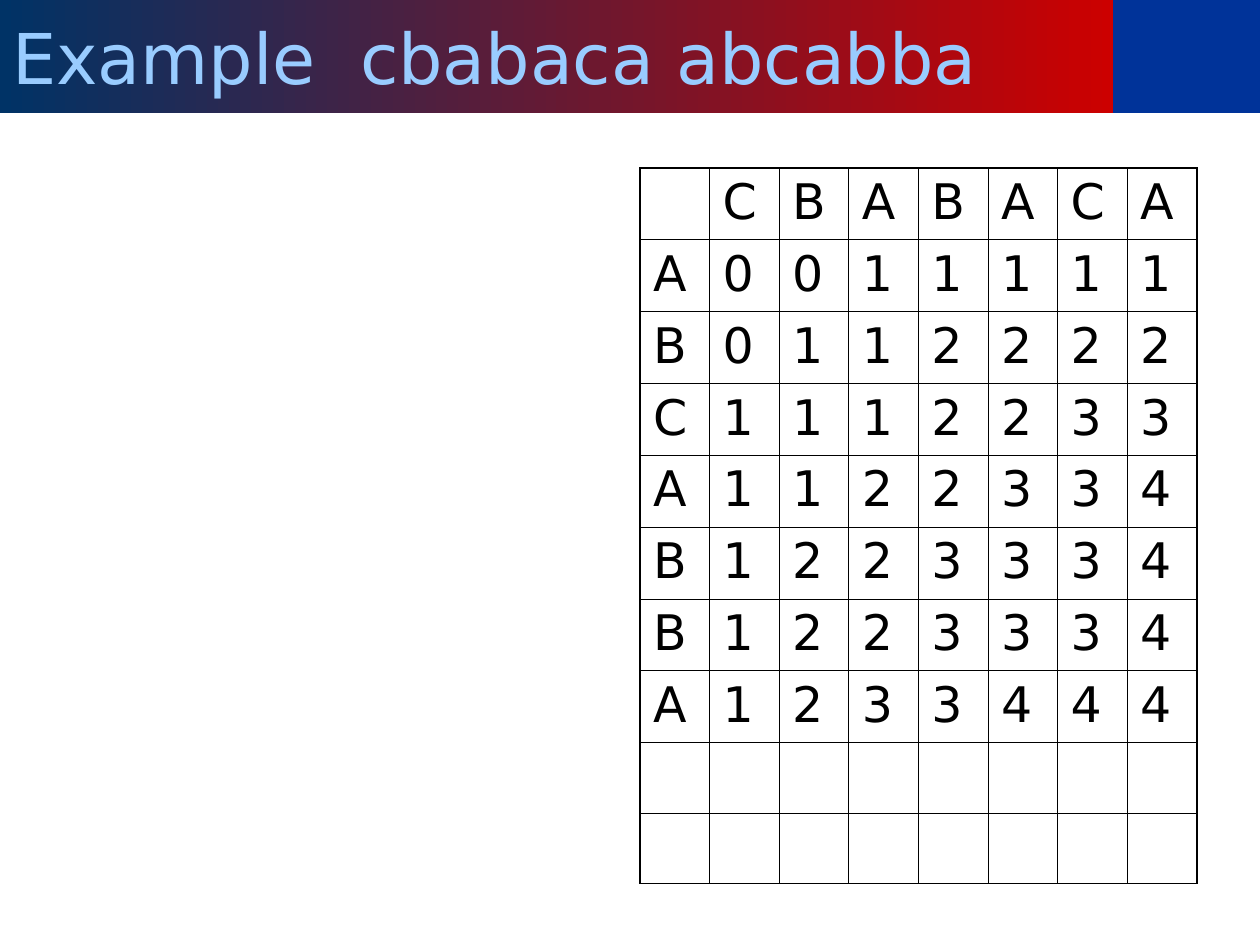
from lxml.etree import SubElement
from pptx import Presentation
from pptx.dml.color import RGBColor
from pptx.enum.shapes import MSO_SHAPE
from pptx.enum.text import MSO_ANCHOR, PP_ALIGN
from pptx.oxml.ns import qn
from pptx.util import Emu, Pt

FONT = "DejaVu Sans"
BLACK = RGBColor(0x00, 0x00, 0x00)
NAVY = RGBColor(0x00, 0x33, 0x66)
RED = RGBColor(0xCC, 0x00, 0x00)
BLUE = RGBColor(0x00, 0x33, 0x99)
SKY = RGBColor(0x99, 0xCC, 0xFF)

THIN, THICK = Pt(0.45), Pt(1.08)

# One string per table row, one character per cell
LCS_ROWS = [
    " CBABACA",
    "A0011111",
    "B0112222",
    "C1112233",
    "A1122334",
    "B1223334",
    "B1223334",
    "A1233444",
    " " * 8,
    " " * 8,
]
FILLED_ROWS = 8


def px(count):
    return Emu(round(count * 914400 / 126))


def add_band(page, left, top, width, height):
    box = page.shapes.add_shape(
        MSO_SHAPE.RECTANGLE, px(left), px(top), px(width), px(height))
    box.shadow.inherit = False
    box.line.fill.background()
    return box


def add_span(para, text, size, color):
    span = para.add_run()
    span.text = text
    span.font.name = FONT
    span.font.size = Pt(size)
    span.font.color.rgb = color


def add_title(page, text):
    box = add_band(page, 0, 0, 1113, 113)
    box.fill.gradient()
    box.fill.gradient_angle = 180
    for stop, position, color in zip(box.fill.gradient_stops, (0, 1), (RED, NAVY)):
        stop.position = position
        stop.color.rgb = color
    frame = box.text_frame
    frame.word_wrap = True
    frame.vertical_anchor = MSO_ANCHOR.MIDDLE
    para = frame.paragraphs[0]
    para.alignment = PP_ALIGN.LEFT
    add_span(para, text, 40, SKY)


def set_borders(cell, widths):
    """Draw the left, right, top and bottom edges, in that order."""
    properties = cell._tc.get_or_add_tcPr()
    for index, (side, width) in enumerate(zip(("lnL", "lnR", "lnT", "lnB"), widths)):
        line = SubElement(properties, qn(f"a:{side}"), w=str(width))
        fill = SubElement(line, qn("a:solidFill"))
        SubElement(fill, qn("a:srgbClr"), val=str(BLACK))
        properties.insert(index, line)


def fill_cell(cell, text):
    cell.fill.background()
    cell.margin_left = cell.margin_right = px(13)
    cell.margin_top, cell.margin_bottom = px(7), px(6)
    if text.strip():
        para = cell.text_frame.paragraphs[0]
        para.line_spacing = 0.98
        para.space_before = Pt(7)
        add_span(para, text, 28, BLACK)


def add_lcs_table(page, left, top, width, filled_height, empty_height):
    row_count, column_count = len(LCS_ROWS), len(LCS_ROWS[0])
    table = page.shapes.add_table(
        row_count, column_count, px(left), px(top), px(width),
        px(filled_height + empty_height)).table
    table.first_row = table.horz_banding = False

    for column in table.columns:
        column.width = px(width / column_count)
    for index, row in enumerate(table.rows):
        if index < FILLED_ROWS:
            row.height = px(filled_height / FILLED_ROWS)
        else:
            row.height = px(empty_height / (row_count - FILLED_ROWS))

    for r, letters in enumerate(LCS_ROWS):
        for c, letter in enumerate(letters):
            cell = table.cell(r, c)
            fill_cell(cell, letter)
            outer = (c == 0, c == column_count - 1, r == 0, r == row_count - 1)
            set_borders(cell, [THICK if edge else THIN for edge in outer])


def main():
    deck = Presentation()
    deck.slide_width, deck.slide_height = px(1260), px(945)
    page = deck.slides.add_slide(deck.slide_layouts[6])

    # Header: blue corner and gradient title
    corner = add_band(page, 1113, 0, 147, 113)
    corner.fill.solid()
    corner.fill.fore_color.rgb = BLUE
    add_title(page, "Example  cbabaca abcabba")

    # Table of common subsequence lengths
    add_lcs_table(page, 640, 168, 557, 575, 141)

    deck.save("out.pptx")


if __name__ == "__main__":
    main()
